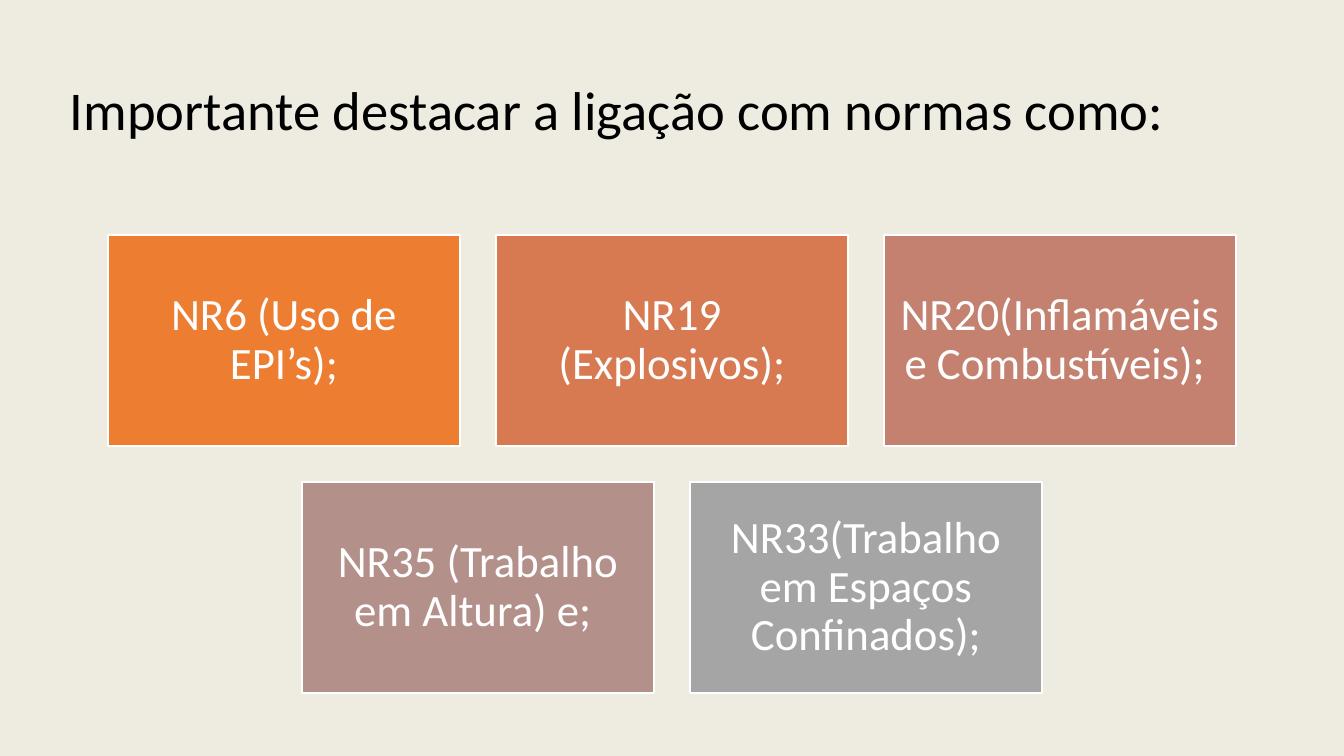
"""Build a slide that lists the related safety norms as cards."""
from dataclasses import dataclass

from lxml.etree import SubElement
from pptx import Presentation
from pptx.dml.color import RGBColor as Rgb
from pptx.enum.shapes import MSO_SHAPE as Kind
from pptx.enum.text import MSO_ANCHOR as Anchor, PP_ALIGN as Align
from pptx.oxml.ns import qn
from pptx.shapes.autoshape import Shape
from pptx.slide import Slide
from pptx.util import Emu, Pt

SCALE = 914400 / 100.8
WIDE, HIGH = 1344, 756
CARD_W, CARD_H, GAP, TOP = 352, 211, 36, 235
HUES = {
    "base": "F2F2F2", "tint": "BF9000", "ink": "000000", "white": "FFFFFF",
    "orange": "ED7D31", "rust": "D87A51", "rose": "C48170",
    "mauve": "B4908B", "gray": "A5A5A5",
}


@dataclass
class Card:
    text: str
    hue: str


ROWS = [
    [Card("NR6 (Uso de EPI’s);", "orange"),
     Card("NR19 (Explosivos);", "rust"),
     Card("NR20(Inflamáveis e Combustíveis); ", "rose")],
    [Card("NR35 (Trabalho em Altura) e; ", "mauve"),
     Card("NR33(Trabalho em Espaços Confinados);", "gray")],
]


def px(size: int) -> Emu:
    """Turn pixels into EMU."""
    return Emu(round(size * SCALE))


def paint(hue: str) -> Rgb:
    """Look up a colour by name."""
    return Rgb.from_string(HUES[hue])


def write(shape: Shape, text: str, *, size: int, hue: str,
          align: Align, pad: int) -> None:
    """Put formatted text in a shape."""
    frame = shape.text_frame
    frame.word_wrap = True
    frame.vertical_anchor = Anchor.MIDDLE
    frame.margin_left = frame.margin_right = px(pad)
    frame.margin_top = frame.margin_bottom = px(pad)
    para = frame.paragraphs[0]
    para.alignment = align
    para.line_spacing = 0.9
    run = para.add_run()
    run.text = text
    run.font.name = "Calibri"
    run.font.size = Pt(size)
    run.font.color.rgb = paint(hue)


def block(slide: Slide, x: int, y: int, w: int, h: int, hue: str) -> Shape:
    """Draw a plain filled rectangle."""
    shape = slide.shapes.add_shape(Kind.RECTANGLE, px(x), px(y), px(w), px(h))
    shape.shadow.inherit = False
    shape.fill.solid()
    shape.fill.fore_color.rgb = paint(hue)
    shape.line.fill.background()
    return shape


def fade(shape: Shape, part: int) -> None:
    """Set the opacity of a fill in percent."""
    color = shape.fill._xPr.find(qn("a:solidFill"))[0]
    SubElement(color, qn("a:alpha"), val=str(part * 1000))


def draw(slide: Slide, card: Card, x: int, y: int) -> None:
    """Draw one norm card."""
    shape = block(slide, x, y, CARD_W, CARD_H, card.hue)
    shape.line.color.rgb = paint("white")
    shape.line.width = Pt(1)
    write(shape, card.text, size=32, hue="white", align=Align.CENTER, pad=13)


def main() -> None:
    """Build and save the slide."""
    deck = Presentation()
    deck.slide_width, deck.slide_height = px(WIDE), px(HIGH)
    slide = deck.slides.add_slide(deck.slide_layouts[6])
    block(slide, 0, 0, WIDE, HIGH, "base")
    fade(block(slide, 0, 0, WIDE, HIGH, "tint"), 7)
    title = slide.shapes.add_textbox(px(60), px(40), px(1223), px(146))
    write(title, "Importante destacar a ligação com normas como:",
          size=39, hue="ink", align=Align.LEFT, pad=10)
    for row, cards in enumerate(ROWS):
        span = len(cards) * (CARD_W + GAP) - GAP
        left = (WIDE - span) // 2
        for col, card in enumerate(cards):
            draw(slide, card, left + col * (CARD_W + GAP),
                 TOP + row * (CARD_H + GAP))
    deck.save("out.pptx")


if __name__ == "__main__":
    main()
